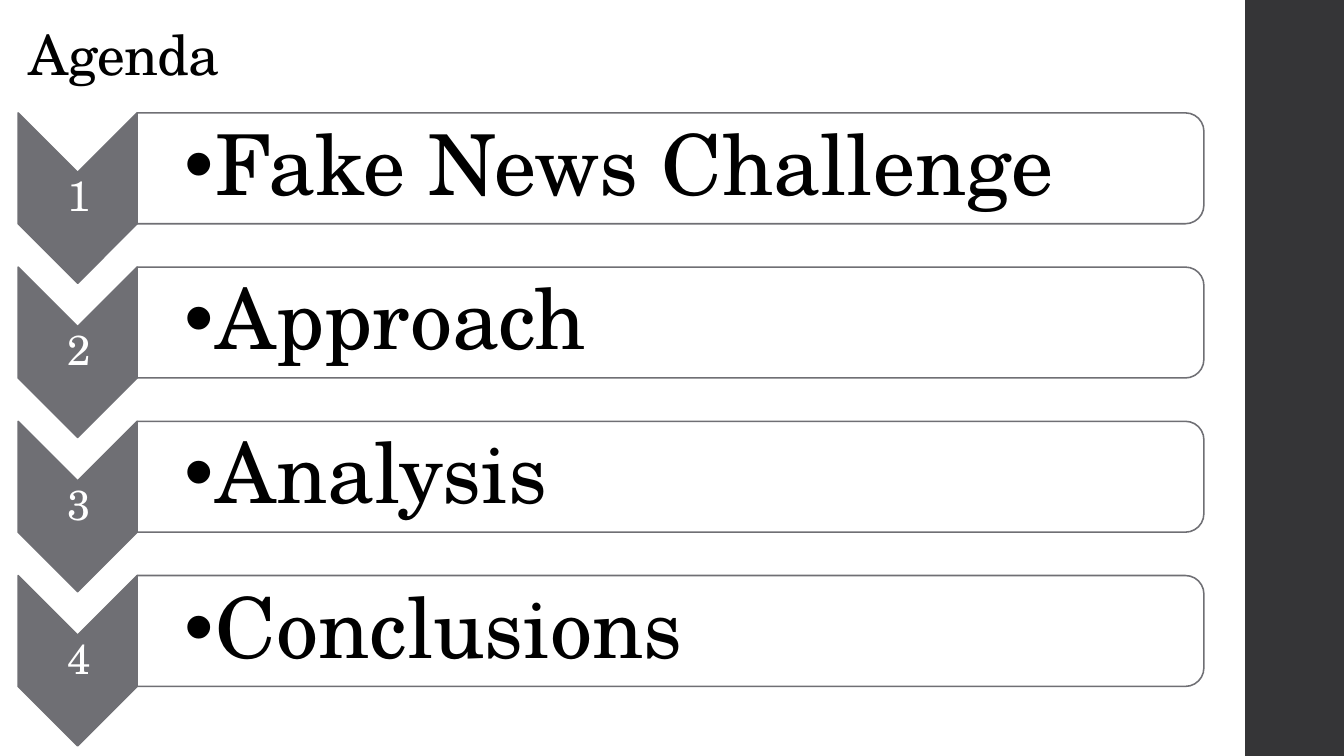
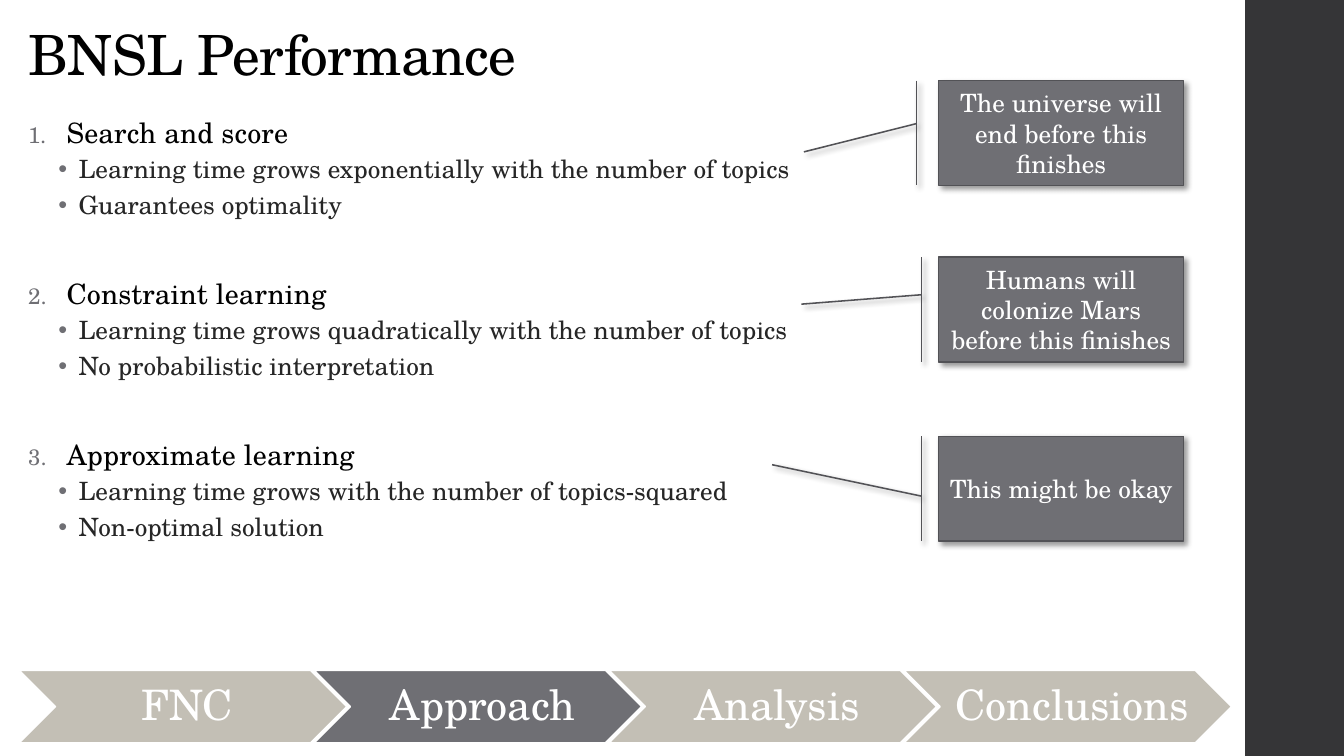
from dataclasses import dataclass
from typing import Optional

from lxml import etree
from pptx import Presentation
from pptx.dml.color import RGBColor
from pptx.enum.shapes import MSO_SHAPE as Preset
from pptx.enum.text import MSO_ANCHOR as Anchor, MSO_AUTO_SIZE as AutoSize, PP_ALIGN as Align
from pptx.oxml.ns import qn
from pptx.shapes.autoshape import Shape
from pptx.slide import Slide
from pptx.text.text import TextFrame
from pptx.util import Inches, Pt


# Theme
@dataclass(frozen=True)
class Theme:
    font: str = "TeX Gyre Schola"
    bullet_font: str = "Arial"
    white: str = "FFFFFF"
    black: str = "000000"
    body: str = "262626"
    band: str = "353537"
    accent: str = "6F6F74"
    accent_edge: str = "525256"
    muted: str = "C3BFB5"
    title_size: float = 39.6
    agenda_size: float = 60
    step_size: float = 30
    heading_size: float = 20
    detail_size: float = 18
    line_width: float = 1.1


THEME = Theme()


# Records for repeated elements
@dataclass(frozen=True)
class Area:
    left: float
    top: float
    width: float
    height: float

    def lengths(self) -> tuple:
        return tuple(Inches(v) for v in (self.left, self.top, self.width, self.height))


@dataclass(frozen=True)
class Bullet:
    margin: float
    hang: float
    color: str
    numbered: bool = False


@dataclass(frozen=True)
class TextStyle:
    size: float
    color: str = THEME.white
    align: Align = Align.CENTER
    line_spacing: float = 0.9
    before: float = 0
    after: float = 0
    tracking: float = 0
    level: int = 0
    bullet: Optional[Bullet] = None


@dataclass(frozen=True)
class Method:
    name: str
    details: tuple[str, ...]
    gap_before: float


@dataclass(frozen=True)
class Callout:
    text: str
    top: float
    adjustments: tuple[float, ...]


TITLE_AREA = Area(0.18, 0.18, 11.77, 0.74)
BODY_AREA = Area(0.18, 1.12, 11.77, 5.47)

TITLE = TextStyle(THEME.title_size, THEME.black, Align.LEFT, tracking=-0.5)
STEP = TextStyle(THEME.step_size)
AGENDA = TextStyle(THEME.agenda_size, THEME.black, Align.LEFT,
                   bullet=Bullet(0.31, 0.31, THEME.black))
DETAIL = TextStyle(THEME.detail_size, THEME.body, Align.LEFT, before=3, after=3, level=1,
                   bullet=Bullet(0.5, 0.2, THEME.accent))
CALLOUT = TextStyle(THEME.detail_size, line_spacing=1)

AGENDA_ITEMS = ("Fake News Challenge", "Approach", "Analysis", "Conclusions")
STAGES = ("FNC", "Approach", "Analysis", "Conclusions")
METHODS = (
    Method("Search and score",
           ("Learning time grows exponentially with the number of topics",
            "Guarantees optimality"), 14),
    Method("Constraint learning",
           ("Learning time grows quadratically with the number of topics",
            "No probabilistic interpretation"), 39.2),
    Method("Approximate learning",
           ("Learning time grows with the number of topics-squared",
            "Non-optimal solution"), 39.2),
)
CALLOUTS = (
    Callout("The universe will end before this finishes", 0.8, (0.41, -0.09, 0.68, -0.55)),
    Callout("Humans will colonize Mars before this finishes", 2.55, (0.36, -0.07, 0.45, -0.56)),
    Callout("This might be okay", 4.33, (0.57, -0.07, 0.27, -0.68)),
)


# Text helpers
def rgb(value: str) -> RGBColor:
    return RGBColor.from_string(value)


def add_child(parent, tag: str, **attributes: str):
    return etree.SubElement(parent, qn(tag), attributes)


def set_frame(frame: TextFrame, anchor: Anchor, left: float = 0.1, other: float = 0.05,
              right: Optional[float] = None) -> None:
    frame.word_wrap = True
    frame.auto_size = AutoSize.NONE
    frame.vertical_anchor = anchor
    frame.margin_left = Inches(left)
    frame.margin_right = Inches(other if right is None else right)
    frame.margin_top = frame.margin_bottom = Inches(other)


def add_para(frame: TextFrame, text: str, style: TextStyle) -> None:
    para = frame.add_paragraph() if frame.text else frame.paragraphs[0]
    para.level = style.level
    para.alignment = style.align
    para.line_spacing = style.line_spacing
    para.space_before = Pt(style.before)
    para.space_after = Pt(style.after)
    if style.bullet:
        add_bullet(para, style.bullet)
    span = para.add_run()
    span.text = text
    span.font.name = THEME.font
    span.font.size = Pt(style.size)
    span.font.color.rgb = rgb(style.color)
    if style.tracking:
        span.font._element.set("spc", str(round(style.tracking * 100)))


def add_bullet(para, bullet: Bullet) -> None:
    props = para._p.get_or_add_pPr()
    props.set("marL", str(Inches(bullet.margin)))
    props.set("indent", str(-Inches(bullet.hang)))
    add_child(add_child(props, "a:buClr"), "a:srgbClr", val=bullet.color)
    if bullet.numbered:
        add_child(props, "a:buSzPct", val="80000")
        add_child(props, "a:buFont", typeface="+mj-lt")
        add_child(props, "a:buAutoNum", type="arabicPeriod")
    else:
        add_child(props, "a:buFont", typeface=THEME.bullet_font)
        add_child(props, "a:buChar", char="•")


# Shape helpers
def add_preset(page: Slide, preset: Preset, area: Area, fill: str,
               line: Optional[str] = None) -> Shape:
    shape = page.shapes.add_shape(preset, *area.lengths())
    shape.shadow.inherit = False
    shape.fill.solid()
    shape.fill.fore_color.rgb = rgb(fill)
    if line:
        shape.line.color.rgb = rgb(line)
        shape.line.width = Pt(THEME.line_width)
    else:
        shape.line.fill.background()
    return shape


def add_turned(page: Slide, preset: Preset, area: Area, fill: str, line: str) -> None:
    """Draw a preset turned a quarter clockwise so that it fills the area."""
    shift = (area.width - area.height) / 2
    unturned = Area(area.left + shift, area.top - shift, area.height, area.width)
    add_preset(page, preset, unturned, fill, line).rotation = 90


def add_label(page: Slide, area: Area, text: str, style: TextStyle,
              left: float, other: float) -> None:
    box = page.shapes.add_textbox(*area.lengths())
    set_frame(box.text_frame, Anchor.MIDDLE, left, other)
    add_para(box.text_frame, text, style)


def add_drop_shadow(shape: Shape) -> None:
    effects = shape.element.spPr.find(qn("a:effectLst"))
    shadow = add_child(effects, "a:outerShdw", blurRad=str(Pt(4)), dist=str(Pt(3)),
                       dir="2700000", algn="tl", rotWithShape="0")
    color = add_child(shadow, "a:srgbClr", val=THEME.black)
    add_child(color, "a:alpha", val="40000")


# Shared page parts
def place(holder, area: Area) -> None:
    holder.left, holder.top, holder.width, holder.height = area.lengths()


def add_page(deck, layout: int, title: str) -> Slide:
    page = deck.slides.add_slide(deck.slide_layouts[layout])
    holder = page.shapes.title
    place(holder, TITLE_AREA)
    set_frame(holder.text_frame, Anchor.BOTTOM, right=0.1)
    add_para(holder.text_frame, title, TITLE)
    return page


def move_band_to_master(deck, page: Slide) -> None:
    band = add_preset(page, Preset.RECTANGLE, Area(12.35, 0, 0.98, 7.5), THEME.band)
    band.element.nvSpPr.cNvPr.set("id", "100")
    deck.slide_master.element.cSld.spTree.append(band.element)


# Agenda page
def draw_agenda(page: Slide) -> None:
    left, first_top, pitch = 0.18, 1.12, 1.53
    arrow_width, arrow_height, card_height = 1.18, 1.69, 1.1
    card_left = left + arrow_width
    for index, item in enumerate(AGENDA_ITEMS):
        top = first_top + index * pitch
        add_turned(page, Preset.CHEVRON, Area(left, top, arrow_width, arrow_height),
                   THEME.accent, THEME.accent)
        add_label(page, Area(left + 0.01, top + arrow_width / 2, arrow_width, 0.51),
                  str(index + 1), STEP, 0.02, 0.02)
        add_turned(page, Preset.ROUND_2_SAME_RECTANGLE,
                   Area(card_left, top, 10.58, card_height), THEME.white, THEME.accent)
        add_label(page, Area(card_left, top + 0.05, 10.53, card_height - 0.1),
                  item, AGENDA, 0.47, 0.04)


# Performance page
def draw_methods(page: Slide) -> None:
    holder = page.placeholders[1]
    place(holder, BODY_AREA)
    frame = holder.text_frame
    set_frame(frame, Anchor.TOP, right=0.1)
    for method in METHODS:
        heading = TextStyle(THEME.heading_size, THEME.black, Align.LEFT, 0.95,
                            method.gap_before, 2, 0.1,
                            bullet=Bullet(0.38, 0.38, THEME.accent, numbered=True))
        add_para(frame, method.name, heading)
        for detail in method.details:
            add_para(frame, detail, DETAIL)


def draw_callouts(page: Slide) -> None:
    for callout in CALLOUTS:
        shape = add_preset(page, Preset.LINE_CALLOUT_1_BORDER_AND_ACCENT_BAR,
                           Area(9.31, callout.top, 2.43, 1.04),
                           THEME.accent, THEME.accent_edge)
        for index, value in enumerate(callout.adjustments):
            shape.adjustments[index] = value
        add_drop_shadow(shape)
        set_frame(shape.text_frame, Anchor.MIDDLE, right=0.1)
        add_para(shape.text_frame, callout.text, CALLOUT)


def draw_progress(page: Slide, current: str) -> None:
    width = 3.25
    for index, stage in enumerate(STAGES):
        fill = THEME.accent if stage == current else THEME.muted
        area = Area(0.19 + index * width * 0.9, 6.65, width, 0.72)
        shape = add_preset(page, Preset.CHEVRON, area, fill, THEME.white)
        set_frame(shape.text_frame, Anchor.MIDDLE, 0.13, 0.04)
        add_para(shape.text_frame, stage, STEP)


def main() -> None:
    deck = Presentation()
    deck.slide_width, deck.slide_height = Inches(13.33), Inches(7.5)

    agenda = add_page(deck, 5, "Agenda")
    move_band_to_master(deck, agenda)
    draw_agenda(agenda)

    performance = add_page(deck, 1, "BNSL Performance")
    draw_methods(performance)
    draw_callouts(performance)
    draw_progress(performance, "Approach")

    deck.save("out.pptx")


if __name__ == "__main__":
    main()
